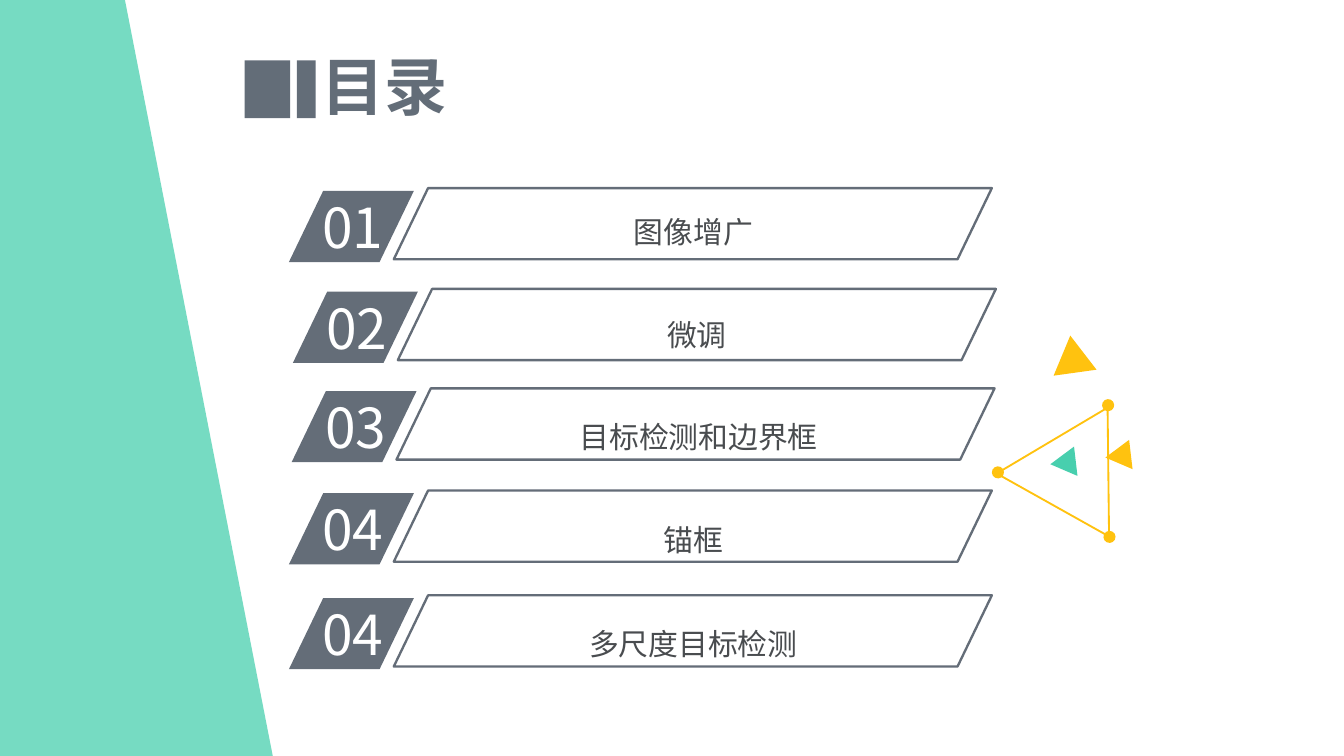
from lxml import etree
from pptx import Presentation
from pptx.dml.color import RGBColor
from pptx.enum.shapes import MSO_SHAPE
from pptx.enum.text import MSO_ANCHOR, MSO_AUTO_SIZE, PP_ALIGN
from pptx.oxml.ns import qn
from pptx.util import Inches, Pt

TRIANGLE = MSO_SHAPE.ISOSCELES_TRIANGLE
OVAL = MSO_SHAPE.OVAL
RECTANGLE = MSO_SHAPE.RECTANGLE
PARALLELOGRAM = MSO_SHAPE.PARALLELOGRAM
CENTER = PP_ALIGN.CENTER
LEFT = PP_ALIGN.LEFT
MIDDLE = MSO_ANCHOR.MIDDLE
TOP = MSO_ANCHOR.TOP
GROW = MSO_AUTO_SIZE.SHAPE_TO_FIT_TEXT
FIXED = MSO_AUTO_SIZE.NONE

SLATE = RGBColor(0x64, 0x6D, 0x78)
TITLE_SLATE = RGBColor(0x63, 0x6D, 0x78)
TEXT_GRAY = RGBColor(0x49, 0x4C, 0x4F)
WHITE = RGBColor(0xFF, 0xFF, 0xFF)
YELLOW = RGBColor(0xFF, 0xC2, 0x0F)
GREEN = RGBColor(0x48, 0xCF, 0xAE)
PANEL_GREEN = RGBColor(0x49, 0xCF, 0xAE)

SANS = "Noto Sans CJK SC"
SERIF = "Times New Roman"

SLIDE_WIDTH = 10
SLIDE_HEIGHT = SLIDE_WIDTH * 9 / 16

ROWS = [
    ("01", "图像增广", SERIF, 2.15, 1.40, (1.38, 0.02, 3.26, 0.43)),
    ("02", "微调", SERIF, 2.18, 2.15, (0.89, 0.03, 4.23, 0.43)),
    ("03", "目标检测和边界框", SERIF, 2.17, 2.89, (0.91, 0.05, 4.24, 0.43)),
    ("04", "锚框", SANS, 2.15, 3.65, (1.38, 0.06, 3.26, 0.43)),
    ("04", "多尺度目标检测", SERIF, 2.15, 4.43, (1.38, 0.05, 3.26, 0.43)),
]


def paint(shape, fill=None, line=None, line_width=1):
    shape.shadow.inherit = False
    if fill is None:
        shape.fill.background()
    else:
        shape.fill.solid()
        shape.fill.fore_color.rgb = fill
    if line is None:
        shape.line.fill.background()
    else:
        shape.line.color.rgb = line
        shape.line.width = Pt(line_width)


def add_figure(shapes, kind, left, top, width, height, rotation=0, **style):
    shape = shapes.add_shape(
        kind, Inches(left), Inches(top), Inches(width), Inches(height))
    shape.rotation = rotation
    if kind == PARALLELOGRAM:
        shape.adjustments[0] = 0.482
    paint(shape, **style)


def add_text(shapes, text, box, font_format, frame_format, paragraph_format):
    frame = shapes.add_textbox(*map(Inches, box)).text_frame
    paragraph = frame.paragraphs[0]
    run = paragraph.add_run()
    run.text = text
    run.font.color.rgb = font_format["color"]
    for name in ("name", "size", "bold"):
        setattr(run.font, name, font_format.get(name))
    east_asian = etree.SubElement(run.font._element, qn("a:ea"))
    east_asian.set("typeface", SANS)
    for target, values in ((frame, {"word_wrap": True, **frame_format}),
                           (paragraph, paragraph_format)):
        for name, value in values.items():
            setattr(target, name, value)


def add_side_panel(slide, left, top, bottom_width, height):
    builder = slide.shapes.build_freeform(Inches(left), Inches(top))
    builder.add_line_segments([
        (Inches(left + 0.93), Inches(top)),
        (Inches(left + bottom_width), Inches(top + height)),
        (Inches(left), Inches(top + height)),
    ], close=True)
    panel = builder.convert_to_shape()
    paint(panel, PANEL_GREEN)
    color = panel._element.spPr.find(qn("a:solidFill")).find(qn("a:srgbClr"))
    etree.SubElement(color, qn("a:alpha")).set("val", "75000")


def add_title(slide, left, top, height):
    for offset, width in ((0.39, 0.14), (0, 0.34)):
        add_figure(slide.shapes, RECTANGLE, left + offset, top, width, height,
                   fill=TITLE_SLATE)
    add_text(slide.shapes, "目录", (left - 0.26, top - 0.1, 2.6, 0.57),
             {"name": SANS, "size": Pt(33.8), "bold": True,
              "color": TITLE_SLATE},
             {"vertical_anchor": MIDDLE, "auto_size": FIXED},
             {"alignment": CENTER})


def add_agenda_row(slide, number, label, label_font, left, top, label_box):
    shapes = slide.shapes.add_group_shape().shapes
    label_left, label_top, label_width, label_height = label_box
    add_figure(shapes, PARALLELOGRAM, left, top + 0.02, 0.93, 0.53, fill=SLATE)
    add_text(shapes, number, (left + 0.15, top - 0.01, 0.88, 0.6),
             {"name": SANS, "size": Pt(29.5), "color": WHITE},
             {"vertical_anchor": TOP, "auto_size": GROW},
             {"alignment": LEFT})
    add_text(shapes, label,
             (left + label_left, top + label_top, label_width, label_height),
             {"name": label_font, "size": Pt(16), "color": TEXT_GRAY},
             {"vertical_anchor": TOP, "auto_size": GROW,
              "margin_left": Inches(0.08), "margin_right": Inches(0.08),
              "margin_top": Inches(0.04), "margin_bottom": Inches(0.04)},
             {"alignment": CENTER, "line_spacing": 1.5})
    add_figure(shapes, PARALLELOGRAM, left + 0.78, top, 4.45, 0.53,
               line=SLATE, line_width=1.25)


def add_triangle_ornament(slide, left, top):
    shapes = slide.shapes.add_group_shape().shapes
    for x, y, width, height, rotation, color in (
            (0.41, 0, 0.32, 0.28, 232.4, YELLOW),
            (0.47, 0.8, 0.22, 0.19, 143.3, GREEN),
            (0.88, 0.75, 0.22, 0.19, 143.3, YELLOW)):
        add_figure(shapes, TRIANGLE, left + x, top + y, width, height,
                   rotation, fill=color)
    add_figure(shapes, TRIANGLE, left + 0.18, top + 0.65, 0.96, 0.83, 149.3,
               line=YELLOW)
    for x, y in ((0.82, 0.4), (0.83, 1.38), (0, 0.9)):
        add_figure(shapes, OVAL, left + x, top + y, 0.09, 0.09, 86,
                   fill=YELLOW)


def main():
    presentation = Presentation()
    presentation.slide_width = Inches(SLIDE_WIDTH)
    presentation.slide_height = Inches(SLIDE_HEIGHT)
    slide = presentation.slides.add_slide(presentation.slide_layouts[6])
    add_triangle_ornament(slide, 7.38, 2.57)
    add_title(slide, 1.82, 0.45, 0.43)
    add_side_panel(slide, 0, 0, 2.03, SLIDE_HEIGHT)
    for row in ROWS:
        add_agenda_row(slide, *row)
    presentation.save("out.pptx")


if __name__ == "__main__":
    main()
